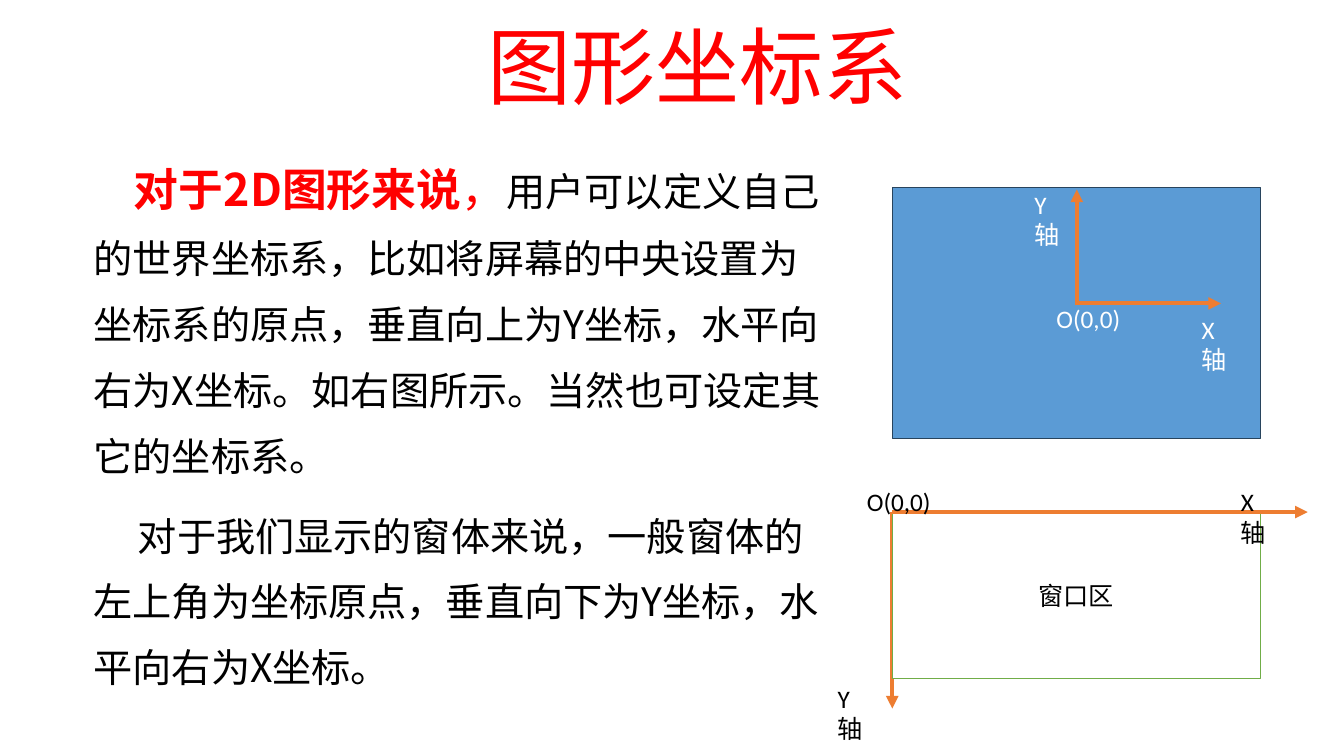
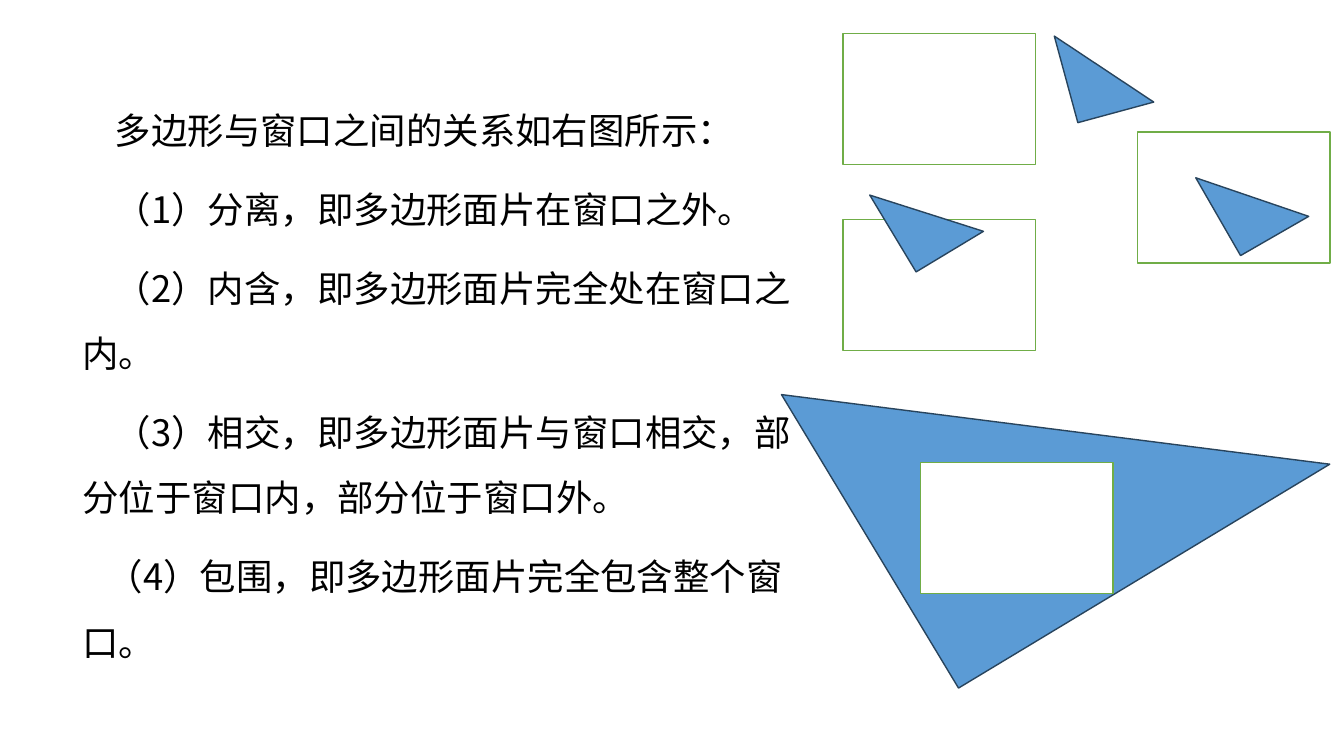
import pptx
import pptx.util
import pptx.dml.color
import pptx.enum.shapes
import pptx.enum.text
import pptx.oxml

Inches, Pt = pptx.util.Inches, pptx.util.Pt
RGB = pptx.dml.color.RGBColor
SHAPE = pptx.enum.shapes.MSO_SHAPE
ALIGN = pptx.enum.text.PP_ALIGN
ANCHOR = pptx.enum.text.MSO_ANCHOR

RED, BLACK, WHITE = RGB(255, 0, 0), RGB(0, 0, 0), RGB(255, 255, 255)
BLUE, NAVY = RGB(0x5B, 0x9B, 0xD5), RGB(0x28, 0x44, 0x5D)
GREEN, ORANGE = RGB(0x70, 0xAD, 0x47), RGB(0xED, 0x7D, 0x31)
HAN, LATIN = "Noto Sans CJK SC", "Calibri"

# Paragraph: first-line indent, then runs of (text, size, colour, bold)
TITLE = "图形坐标系"
AXES = [
    (0.4, [
        ("对于2D图形来说", 32, RED, True),
        ("，", 32, RED, False),
        ("用户可以定义自己的世界坐标系，比如将屏幕的中央设置为坐标系的原点，"
         "垂直向上为Y坐标，水平向右为X坐标。如右图所示。当然也可设定其它的坐标系。",
         28, BLACK, False),
    ]),
    (0.44, [
        ("对于我们显示的窗体来说，一般窗体的左上角为坐标原点，"
         "垂直向下为Y坐标，水平向右为X坐标。", 28, BLACK, False),
    ]),
]
CASES = [(indent, [(text, 26, BLACK, False)]) for indent, text in [
    (0.32, "多边形与窗口之间的关系如右图所示："),
    (0.32, "（1）分离，即多边形面片在窗口之外。"),
    (0.32, "（2）内含，即多边形面片完全处在窗口之内。"),
    (0.32, "（3）相交，即多边形面片与窗口相交，部分位于窗口内，部分位于窗口外。"),
    (0.24, "（4）包围，即多边形面片完全包含整个窗口。"),
]]

SCREEN = (8.85, 1.86, 3.65, 2.49)
WINDOW = (8.85, 5.08, 3.65, 1.65)
# Start x, y and end x, y
ARROWS = [
    (10.66, 3.01, 12.11, 3.01),
    (10.68, 3.03, 10.68, 1.88),
    (8.85, 5.08, 12.97, 5.08),
]
DOWN = (8.85, 5.08, 8.85, 7.03)
LABELS = [
    ("X轴", 11.82, 3.07, WHITE),
    ("Y轴", 10.16, 1.83, WHITE),
    ("O(0,0)", 10.38, 2.96, WHITE),
    ("X轴", 12.21, 4.78, BLACK),
    ("Y轴", 8.21, 6.73, BLACK),
    ("O(0,0)", 8.5, 4.78, BLACK),
]

PANE, PATCH = (1.91, 1.3), (0.78, 0.89)
PANES = [(8.36, 2.18), (8.36, 0.33), (11.28, 1.31), (9.13, 4.59)]
PATCHES = [(10.56, 0.24, 344.8), (12.03, 1.51, 330.1), (8.8, 1.67, 328.9)]
AROUND = (8.32, 2.56, 4.3, 3.4)


def place(box):
    return [Inches(n) for n in box]


def add_run(para, text, size, color, bold=False, face=HAN):
    run = para.add_run()
    run.text = text
    font = run.font
    font.size, font.bold, font.name = Pt(size), bold, face
    font.color.rgb = color
    if face == HAN:
        mark = pptx.oxml.parse_xml(
            '<a:ea xmlns:a="http://schemas.openxmlformats.org/drawingml/2006/main"'
            f' typeface="{HAN}"/>')
        font._element.append(mark)


def add_body(slide, box, paras, pitch):
    frame = slide.shapes.add_textbox(*place(box)).text_frame
    frame.word_wrap = True
    for i, (indent, runs) in enumerate(paras):
        para = frame.add_paragraph() if i else frame.paragraphs[0]
        para.line_spacing = Pt(pitch)
        para.space_before = Pt(10 if i else 0)
        para._p.get_or_add_pPr().set("indent", str(Inches(indent)))
        for run in runs:
            add_run(para, *run)


def add_solid(slide, kind, box, fill, line, turn=0):
    shape = slide.shapes.add_shape(kind, *place(box))
    shape.shadow.inherit = False
    shape.fill.solid()
    shape.fill.fore_color.rgb = fill
    shape.line.color.rgb = line
    shape.line.width = Pt(1)
    shape.rotation = turn
    return shape


def add_arrow(slide, ends):
    line = slide.shapes.add_connector(
        pptx.enum.shapes.MSO_CONNECTOR.STRAIGHT, *place(ends))
    line.line.color.rgb = ORANGE
    line.line.width = Pt(3)
    space = 'xmlns:a="http://schemas.openxmlformats.org/drawingml/2006/main"'
    line.line._get_or_add_ln().append(
        pptx.oxml.parse_xml(f'<a:tailEnd {space} type="triangle"/>'))
    line._element.spPr.append(pptx.oxml.parse_xml(f'<a:effectLst {space}/>'))


def add_label(slide, text, left, top, color):
    """Axis names break after their letter; the origin stays on one line."""
    axis = text.endswith("轴")
    box = (left, top, 0.5 if axis else 0.84, 0.4)
    frame = slide.shapes.add_textbox(*place(box)).text_frame
    frame.word_wrap = axis
    add_run(frame.paragraphs[0], text, 18, color, face=LATIN)


def add_title(slide, text):
    title = slide.shapes.title
    title.left, title.top, title.width, title.height = place((4.55, 0.09, 4.74, 1.11))
    frame = title.text_frame
    frame.margin_top = frame.margin_bottom = 0
    frame.vertical_anchor = ANCHOR.MIDDLE
    para = frame.paragraphs[0]
    para.alignment = ALIGN.CENTER
    add_run(para, text, 60, RED)


def draw_axes(deck):
    slide = deck.slides.add_slide(deck.slide_layouts[5])
    add_title(slide, TITLE)
    add_body(slide, (0.83, 1.44, 7.53, 5.59), AXES, 47)
    add_solid(slide, SHAPE.RECTANGLE, SCREEN, BLUE, NAVY)
    add_arrow(slide, DOWN)
    pane = add_solid(slide, SHAPE.RECTANGLE, WINDOW, WHITE, GREEN)
    pane.text_frame.vertical_anchor = ANCHOR.MIDDLE
    para = pane.text_frame.paragraphs[0]
    para.alignment = ALIGN.CENTER
    add_run(para, "窗口区", 18, BLACK, face=LATIN)
    for ends in ARROWS:
        add_arrow(slide, ends)
    for label in LABELS:
        add_label(slide, *label)


def draw_cases(deck):
    slide = deck.slides.add_slide(deck.slide_layouts[6])
    add_solid(slide, SHAPE.RIGHT_TRIANGLE, AROUND, BLUE, NAVY, 328.9)
    add_body(slide, (0.72, 0.81, 7.29, 5.81), CASES, 46.5)
    for spot in PANES:
        add_solid(slide, SHAPE.RECTANGLE, spot + PANE, WHITE, GREEN)
    for left, top, turn in PATCHES:
        add_solid(slide, SHAPE.RIGHT_TRIANGLE, (left, top) + PATCH, BLUE, NAVY, turn)


def main():
    deck = pptx.Presentation()
    deck.slide_width, deck.slide_height = place((13.33, 7.5))
    draw_axes(deck)
    draw_cases(deck)
    deck.save("out.pptx")


if __name__ == "__main__":
    main()
